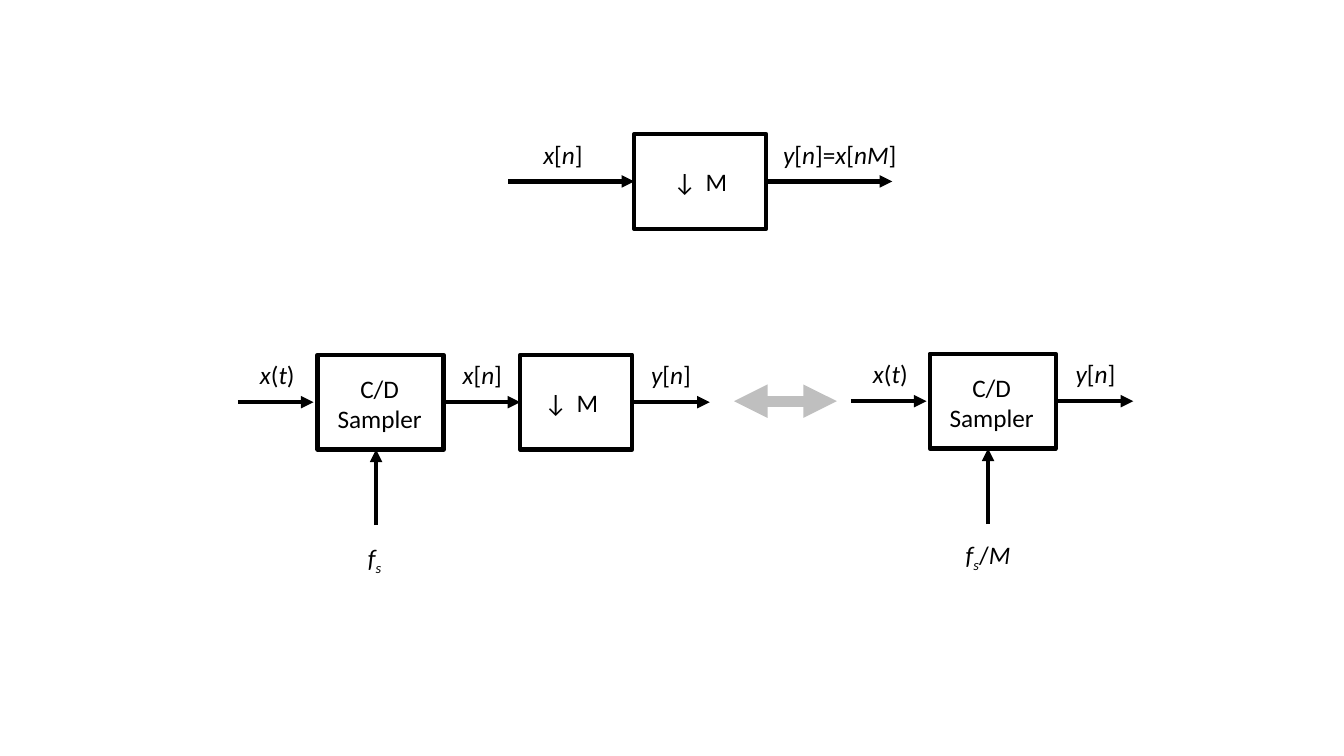
"""Build a slide showing downsampling block diagrams and their equivalence."""
from lxml import etree
from pptx import Presentation
from pptx.dml.color import RGBColor
from pptx.enum.shapes import MSO_CONNECTOR, MSO_SHAPE
from pptx.enum.text import MSO_AUTO_SIZE, PP_ALIGN
from pptx.oxml.ns import qn
from pptx.util import Inches, Pt

BLACK = RGBColor(0, 0, 0)
GRAY = RGBColor(0xBF, 0xBF, 0xBF)
RECTANGLE, STRAIGHT = MSO_SHAPE.RECTANGLE, MSO_CONNECTOR.STRAIGHT
FIT_TEXT, LEFT, CENTER = MSO_AUTO_SIZE.SHAPE_TO_FIT_TEXT, PP_ALIGN.LEFT, PP_ALIGN.CENTER

FONT = {"name": "Calibri", "size": Pt(18)}
ITALIC, UPRIGHT, SUBSCRIPT = "italic", "upright", "subscript"
BLOCK_HEIGHT, LABEL_HEIGHT, LABEL_RISE = 0.94, 0.4, 0.47

X_N = [("x", ITALIC), ("[", UPRIGHT), ("n", ITALIC), ("]", UPRIGHT)]
X_T = [("x", ITALIC), ("(", UPRIGHT), ("t", ITALIC), (")", UPRIGHT)]
Y_N = [("y", ITALIC)] + X_N[1:]
Y_X_NM = Y_N[:3] + [("]=", UPRIGHT), ("x", ITALIC), ("[", UPRIGHT), ("nM", ITALIC), ("]", UPRIGHT)]
F_S = [("f", ITALIC), ("s", SUBSCRIPT)]
F_S_M = F_S + [("/", UPRIGHT), ("M", ITALIC)]

# left, top, width, inset of the down arrow
DECIMATORS = [(6.29, 1.33, 1.31, 0.29), (5.16, 3.52, 1.11, 0.14)]
# left, top, rate label, rate label left, top, width
SAMPLERS = [(3.15, 3.52, F_S, 3.55, 5.33, 0.34), (9.22, 3.51, F_S_M, 9.48, 5.3, 0.66)]
# start, height on slide, length, label, label left, label width
SIGNALS = [
    (5.04, 1.8, 1.25, X_N, 5.29, 0.59),
    (7.6, 1.8, 1.25, Y_X_NM, 7.67, 1.34),
    (2.36, 3.99, 0.75, X_T, 2.48, 0.55),
    (4.41, 3.99, 0.75, X_N, 4.49, 0.59),
    (6.29, 3.99, 0.75, Y_N, 6.36, 0.6),
    (8.44, 3.98, 0.75, X_T, 8.56, 0.55),
    (10.49, 3.98, 0.75, Y_N, 10.57, 0.6),
]
EQUIVALENCE = (7.28, 3.98, 8.3, 3.98)


def add_block(left, top, width):
    box = slide.shapes.add_shape(RECTANGLE, *map(Inches, (left, top, width, BLOCK_HEIGHT)))
    box.shadow.inherit = False
    box.fill.background()
    box.line.color.rgb = BLACK
    box.line.width = Pt(3)


def add_arrow(ends, color=BLACK, weight=3, heads=("tailEnd",)):
    arrow = slide.shapes.add_connector(STRAIGHT, *map(Inches, ends))
    arrow.line.color.rgb = color
    arrow.line.width = Pt(weight)
    outline = arrow.line._get_or_add_ln()
    for head in heads:
        etree.SubElement(outline, qn(f"a:{head}"), type="triangle")
    etree.SubElement(arrow._element.spPr, qn("a:effectLst"))


def add_label(left, top, width, lines, height=LABEL_HEIGHT, align=LEFT):
    frame = slide.shapes.add_textbox(*map(Inches, (left, top, width, height))).text_frame
    frame.word_wrap = False
    frame.auto_size = FIT_TEXT
    for index, spans in enumerate(lines):
        para = frame.add_paragraph() if index else frame.paragraphs[0]
        para.alignment = align
        for text, style in spans:
            span = para.add_run()
            span.text = text
            for name, value in FONT.items():
                setattr(span.font, name, value)
            span.font.color.rgb = BLACK
            span.font.italic = style != UPRIGHT
            if style == SUBSCRIPT:
                span.font._element.set("baseline", "-25000")


deck = Presentation()
deck.slide_width, deck.slide_height = Inches(13.33), Inches(7.5)
slide = deck.slides.add_slide(deck.slide_layouts[6])

for left, top, width, inset in DECIMATORS:
    add_block(left, top, width)
    add_label(left + inset, top + 0.27, 0.43, [[("↓", UPRIGHT)]])
    add_label(left + inset + 0.32, top + 0.27, 0.42, [[("M", UPRIGHT)]])

for left, top, rate, *rate_place in SAMPLERS:
    add_block(left, top, 1.25)
    add_label(left + 0.09, top + 0.13, 1.05,
              [[("C/D", UPRIGHT)], [("Sampler", UPRIGHT)]], 0.71, CENTER)
    center, bottom = left + 0.58, top + BLOCK_HEIGHT
    add_arrow((center, bottom + 0.75, center, bottom))
    add_label(*rate_place, [rate])

for start, level, length, label, label_left, label_width in SIGNALS:
    add_arrow((start, level, start + length, level))
    add_label(label_left, level - LABEL_RISE, label_width, [label])

add_arrow(EQUIVALENCE, GRAY, 8, ("headEnd", "tailEnd"))

deck.save("out.pptx")
